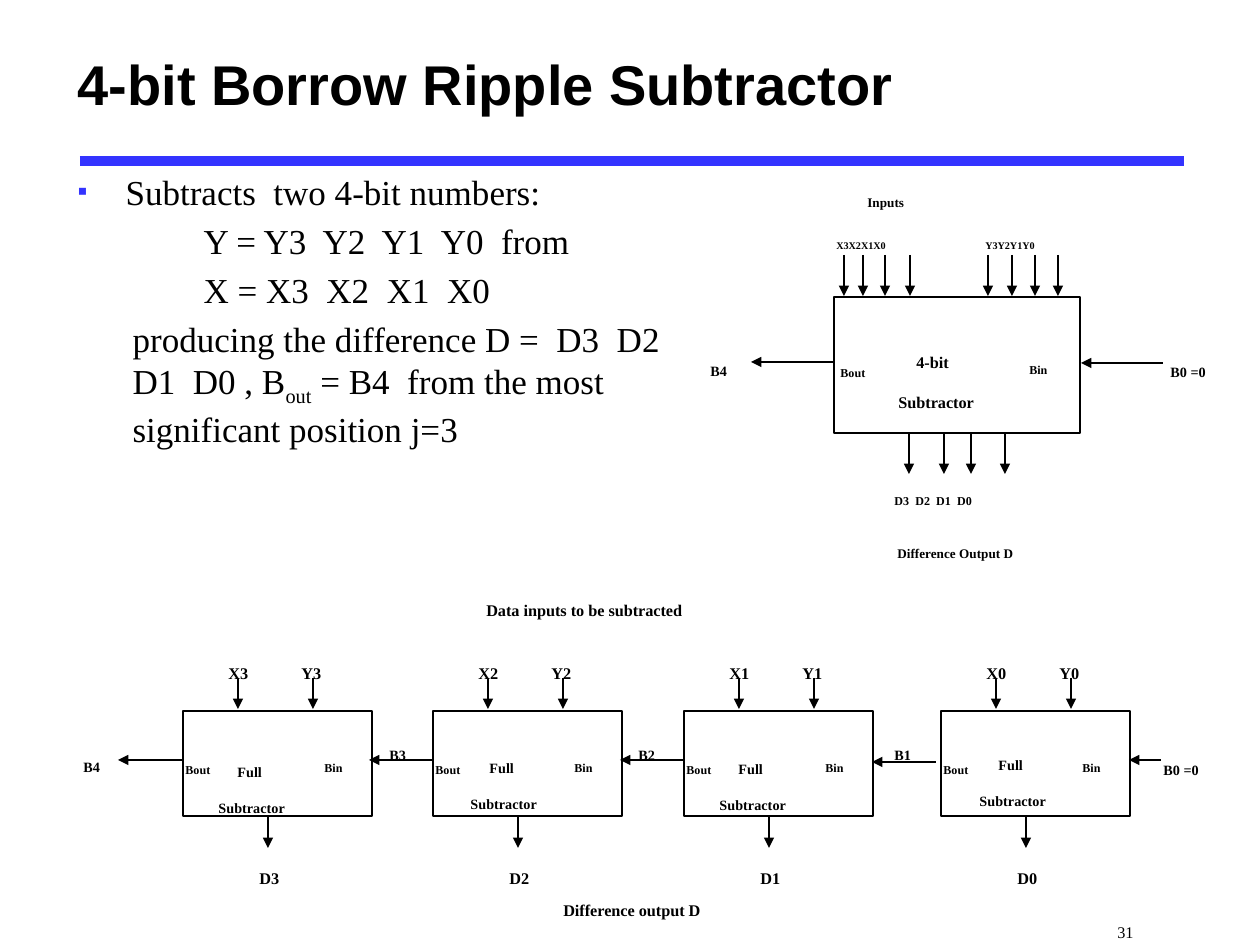
"""Builds the slide on the 4-bit borrow ripple subtractor."""
from dataclasses import dataclass

from lxml import etree
from pptx import Presentation
from pptx.dml.color import RGBColor
from pptx.enum.shapes import MSO_CONNECTOR, MSO_SHAPE
from pptx.enum.text import MSO_ANCHOR, MSO_AUTO_SIZE, PP_ALIGN
from pptx.oxml.ns import qn
from pptx.util import Emu, Inches, Pt

STRAIGHT, RECTANGLE = MSO_CONNECTOR.STRAIGHT, MSO_SHAPE.RECTANGLE
TOP, MIDDLE = MSO_ANCHOR.TOP, MSO_ANCHOR.MIDDLE
LEFT, NO_FIT = PP_ALIGN.LEFT, MSO_AUTO_SIZE.NONE
SUBSCRIPT = "-25000"


@dataclass(frozen=True)
class Theme:
    """Colours, fonts and type sizes of the slide."""
    ink: RGBColor = RGBColor(0, 0, 0)
    accent: RGBColor = RGBColor(0x33, 0x33, 0xFF)
    heading_font: str = "Arial"
    text_font: str = "Times New Roman"
    title: int = 32
    body: int = 20
    large: int = 16
    medium: int = 14
    caption: int = 13
    small: int = 12
    tiny: int = 10


def px(length):
    """Turn whole pixels into EMU."""
    return Emu(round(length * Inches(1) / 126))


def assign(target, values):
    """Set attributes from a dict of format values."""
    for name, value in values.items():
        setattr(target, name, value)


class SlideBuilder:
    """Holds the theme and the current slide."""

    def __init__(self, slide, theme):
        self.slide, self.theme = slide, theme

    def run(self, paragraph, text, size, font=None, bold=False, lowered=False):
        """Add one formatted run."""
        piece = paragraph.add_run()
        piece.text = text
        assign(piece.font, {"name": font or self.theme.text_font,
                            "size": Pt(size), "bold": bold})
        piece.font.color.rgb = self.theme.ink
        if lowered:
            piece._r.get_or_add_rPr().set("baseline", SUBSCRIPT)

    def indent(self, paragraph, margin, first=0):
        """Set the left margin and first-line indent of a paragraph."""
        properties = paragraph._p.get_or_add_pPr()
        properties.set("marL", str(px(margin)))
        properties.set("indent", str(px(first)))
        return properties

    def frame(self, shape, box, anchor):
        """Place a text shape and return its text frame."""
        assign(shape, dict(zip(("left", "top", "width", "height"), map(px, box))))
        assign(shape.text_frame, {"word_wrap": True, "auto_size": NO_FIT,
                                  "vertical_anchor": anchor})
        return shape.text_frame

    def title(self, text, box):
        """Fill the title placeholder."""
        heading = self.frame(self.slide.shapes.title, box, MIDDLE).paragraphs[0]
        heading.alignment = LEFT
        self.run(heading, text, self.theme.title, self.theme.heading_font, True)

    def body(self, items, box):
        """Fill the body placeholder from (margin, bullet, runs) items."""
        frame = self.frame(self.slide.placeholders[1], box, TOP)
        for number, (margin, bullet, pieces) in enumerate(items):
            paragraph = frame.paragraphs[0] if number == 0 else frame.add_paragraph()
            assign(paragraph, {"alignment": LEFT, "space_before": Pt(4)})
            properties = self.indent(paragraph, margin, -margin if bullet else 0)
            if bullet:
                colour = etree.SubElement(properties, qn("a:buClr"))
                etree.SubElement(colour, qn("a:srgbClr"), val=str(self.theme.accent))
                etree.SubElement(properties, qn("a:buSzPct"), val="80000")
                etree.SubElement(properties, qn("a:buFont"), typeface=self.theme.text_font)
                etree.SubElement(properties, qn("a:buChar"), char=bullet)
            else:
                etree.SubElement(properties, qn("a:buNone"))
            for text, lowered in pieces:
                self.run(paragraph, text, self.theme.body, lowered=lowered)

    def label(self, left, top, width, size, *lines, bold=True):
        """Add a lowered label from (text, margin) lines."""
        height = round(13 + 2.1 * size * len(lines))
        shape = self.slide.shapes.add_textbox(0, 0, 0, 0)
        frame = self.frame(shape, (left, top, width, height), TOP)
        for number, (text, margin) in enumerate(lines):
            paragraph = frame.paragraphs[0] if number == 0 else frame.add_paragraph()
            paragraph.space_before = Pt(number)
            self.indent(paragraph, margin)
            self.run(paragraph, text, size, bold=bold, lowered=True)

    def block(self, left, top, width, height):
        """Add an outlined circuit block."""
        shape = self.slide.shapes.add_shape(RECTANGLE, *map(px, (left, top, width, height)))
        shape.shadow.inherit = False
        shape.fill.background()
        shape.line.color.rgb = self.theme.ink
        shape.line.width = Pt(1.5)

    def line(self, start, end, colour, width):
        """Add a straight line and return its line properties."""
        connector = self.slide.shapes.add_connector(STRAIGHT, *map(px, start + end))
        connector.line.color.rgb = colour
        connector.line.width = Pt(width)
        etree.SubElement(connector._element.spPr, qn("a:effectLst"))
        return connector.line._get_or_add_ln()

    def arrow(self, start, end):
        """Add a thin line with an arrowhead at its end."""
        stroke = self.line(start, end, self.theme.ink, 1)
        etree.SubElement(stroke, qn("a:tailEnd"), type="triangle")


def draw_overview(builder):
    """Draw the whole subtractor as a single block."""
    theme = builder.theme
    builder.block(834, 297, 246, 136)
    builder.label(886, 327, 156, theme.large, ("4-bit", 18), ("Subtractor", 0))
    for left, top, width, size, text in (
            (855, 173, 100, theme.caption, "Inputs"),
            (824, 221, 111, theme.tiny, "X3X2X1X0"),
            (973, 221, 111, theme.tiny, "Y3Y2Y1Y0"),
            (828, 345, 59, theme.small, "Bout"),
            (1017, 342, 52, theme.small, "Bin"),
            (698, 340, 54, theme.medium, "B4"),
            (1158, 341, 87, theme.medium, "B0 =0"),
            (882, 473, 159, theme.small, "D3  D2  D1  D0"),
            (885, 524, 231, theme.caption, "Difference Output D")):
        builder.label(left, top, width, size, (text, 0))
    for x in (844, 863, 885, 910, 988, 1012, 1035, 1058):
        builder.arrow((x, 255), (x, 296))
    for x in (909, 944, 971, 1005):
        builder.arrow((x, 434), (x, 474))
    builder.arrow((833, 362), (751, 362))
    builder.arrow((1163, 363), (1081, 363))


def draw_stage(builder, digit, left, name_left, name_top):
    """Draw one full subtractor with its data inputs and output."""
    theme = builder.theme
    builder.block(left, 711, 189, 105)
    builder.label(name_left, name_top, 146, theme.medium, ("Full", 23), ("Subtractor", 4))
    for offset, top, width, size, text in (
            (33, 638, 59, theme.large, f"X{digit}"),
            (106, 638, 59, theme.large, f"Y{digit}"),
            (64, 843, 59, theme.large, f"D{digit}"),
            (-10, 742, 59, theme.small, "Bout"),
            (129, 740, 52, theme.small, "Bin")):
        builder.label(left + offset, top, width, size, (text, 0))
    for offset, start, end in ((55, 678, 709), (130, 678, 709), (85, 816, 848)):
        builder.arrow((left + offset, start), (left + offset, end))


def draw_ripple(builder):
    """Draw the chain of full subtractors."""
    theme = builder.theme
    for stage in ((3, 183, 202, 741), (2, 433, 454, 737),
                  (1, 684, 703, 738), (0, 941, 963, 734)):
        draw_stage(builder, *stage)
    for start, y in ((182, 760), (433, 760), (684, 760), (936, 762)):
        builder.arrow((start, y), (start - 64, y))
    builder.arrow((1161, 760), (1129, 760))
    for left, top, width, size, text in (
            (71, 736, 54, theme.medium, "B4"),
            (377, 724, 54, theme.medium, "B3"),
            (626, 724, 54, theme.medium, "B2"),
            (882, 724, 54, theme.medium, "B1"),
            (1151, 739, 87, theme.medium, "B0 =0"),
            (474, 575, 375, theme.large, "Data inputs to be subtracted"),
            (551, 875, 263, theme.large, "Difference output D")):
        builder.label(left, top, width, size, (text, 0))


def main():
    """Build and save the slide."""
    deck = Presentation()
    deck.slide_width, deck.slide_height = Inches(10), Inches(7.5)
    theme = Theme()
    builder = SlideBuilder(deck.slides.add_slide(deck.slide_layouts[1]), theme)
    builder.line((80, 161), (1184, 161), theme.accent, 6)
    builder.title("4-bit Borrow Ripple Subtractor", (65, 13, 1071, 141))
    builder.body((
        (48, "▪", (("Subtracts  two 4-bit numbers:", False),)),
        (126, None, (("Y = Y3  Y2  Y1  Y0  from", False),)),
        (126, None, (("X = X3  X2  X1  X0", False),)),
        (55, None, (("producing the difference D =  D3  D2  D1  D0 , B", False),
                    ("out", True),
                    (" = B4  from the most  significant position j=3", False))),
    ), (65, 164, 621, 386))
    draw_overview(builder)
    draw_ripple(builder)
    builder.label(995, 897, 265, theme.large, ("31", 110), bold=False)
    deck.save("out.pptx")


if __name__ == "__main__":
    main()
